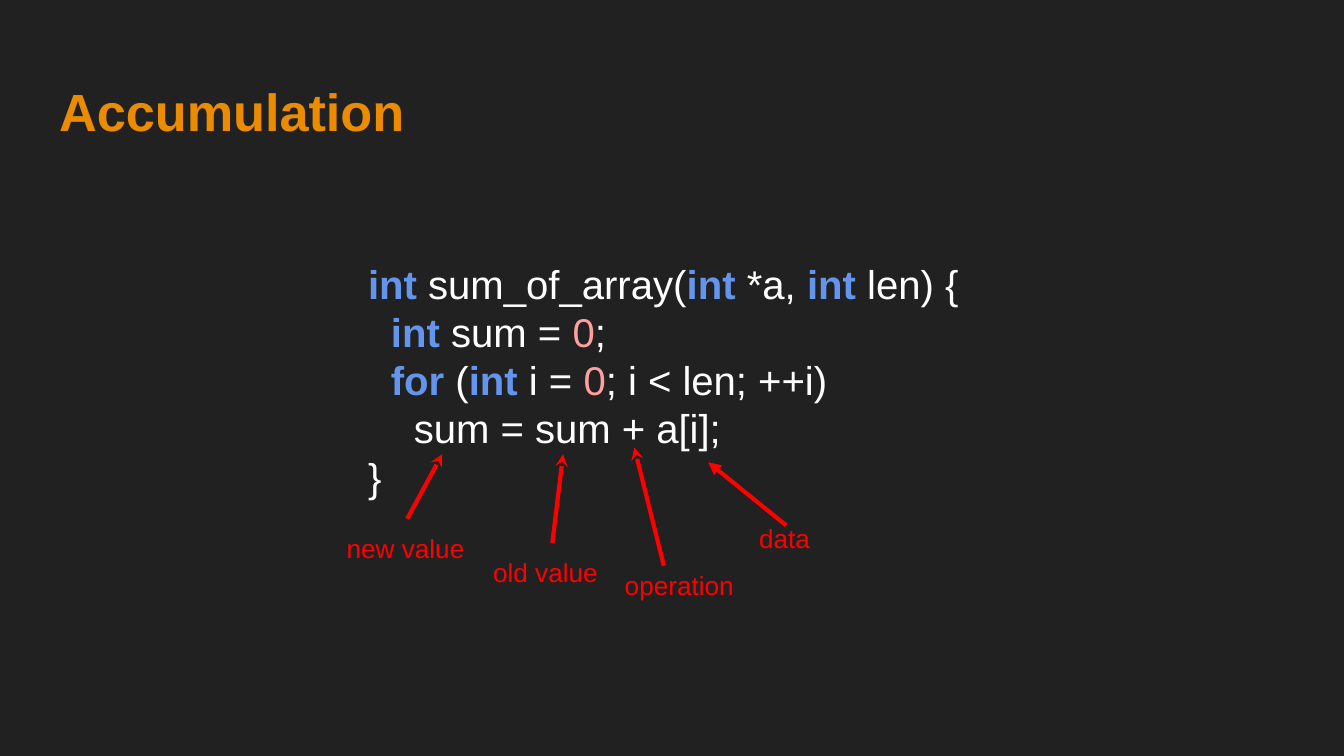
from dataclasses import dataclass

from lxml.etree import SubElement
from pptx import Presentation
from pptx.dml.color import RGBColor as Color
from pptx.enum.shapes import MSO_CONNECTOR as Connector
from pptx.enum.text import MSO_ANCHOR as Anchor, MSO_AUTO_SIZE as AutoSize, PP_ALIGN as Align
from pptx.oxml.ns import qn
from pptx.util import Inches, Pt


@dataclass(frozen=True)
class Theme:
    font: str = "Arial"
    background: str = "212121"
    title: str = "EB8C00"
    code: str = "FFFFFF"
    keyword: str = "6495ED"
    number: str = "FFA0A0"
    note: str = "FF0000"
    title_size: float = 28
    code_size: float = 21.5
    note_size: float = 14
    arrow_width: float = 2.25


THEME = Theme()
KEYWORDS = {"int", "for"}
INDENT = 0.17  # one code level, inches

# Indent level and tokens of each code line
CODE = [
    (0, ["int", " sum_of_array(", "int", " *a, ", "int", " len) {"]),
    (1, ["int", " sum = ", "0", ";"]),
    (1, ["for", " (", "int", " i = ", "0", "; i < len; ++i)"]),
    (2, ["sum = sum + a[i];"]),
    (0, ["}"]),
]

# Label, its box, arrow start and tip relative to the box, arrowhead
NOTES = [
    ("new value", (2.48, 3.86, 1.08, 0.54), (0.55, 0), (0.81, -0.48), "stealth"),
    ("old value", (3.57, 4.04, 1.08, 0.44), (0.54, 0), (0.62, -0.66), "stealth"),
    ("operation", (4.55, 4.14, 1.08, 0.44), (0.39, 0.07), (0.17, -0.81), "stealth"),
    ("data", (5.55, 3.79, 0.78, 0.44), (0.3, 0.12), (-0.28, -0.35), "triangle"),
]


def style(span, size, color, bold=False):
    span.font.name = THEME.font
    span.font.size = Pt(size)
    span.font.bold = bold
    span.font.color.rgb = Color.from_string(color)


def prepare_frame(shape):
    frame = shape.text_frame
    frame.word_wrap = True
    frame.auto_size = AutoSize.NONE
    frame.vertical_anchor = Anchor.TOP
    frame.margin_left = frame.margin_right = Inches(0.1)
    frame.margin_top = frame.margin_bottom = Inches(0.1)
    return frame


def add_title(page, box, text):
    title = page.shapes.title
    title.left, title.top, title.width, title.height = map(Inches, box)
    frame = prepare_frame(title)
    frame.text = text
    para = frame.paragraphs[0]
    para.alignment = Align.LEFT
    style(para.runs[0], THEME.title_size, THEME.title, bold=True)


def add_code(page, box, lines):
    frame = prepare_frame(page.shapes.add_textbox(*map(Inches, box)))
    for index, (level, tokens) in enumerate(lines):
        para = frame.add_paragraph() if index else frame.paragraphs[0]
        para._p.get_or_add_pPr().set("marL", str(Inches(INDENT * level)))
        for token in tokens:
            span = para.add_run()
            span.text = token
            is_keyword = token in KEYWORDS
            color = (THEME.keyword if is_keyword
                     else THEME.number if token.isdigit() else THEME.code)
            style(span, THEME.code_size, color, is_keyword)


def add_note(page, box, text, start, tip, head):
    # Label
    frame = prepare_frame(page.shapes.add_textbox(*map(Inches, box)))
    frame.text = text
    style(frame.paragraphs[0].runs[0], THEME.note_size, THEME.note)

    # Arrow from the label up to the code
    left, top = box[:2]
    ends = [left + start[0], top + start[1], left + tip[0], top + tip[1]]
    arrow = page.shapes.add_connector(Connector.STRAIGHT, *map(Inches, ends))
    arrow.line.color.rgb = Color.from_string(THEME.note)
    arrow.line.width = Pt(THEME.arrow_width)
    SubElement(arrow.line._get_or_add_ln(), qn("a:tailEnd"), type=head)
    SubElement(arrow._element.spPr, qn("a:effectLst"))


def main():
    deck = Presentation()
    deck.slide_width = Inches(10)
    deck.slide_height = deck.slide_width * 9 // 16
    page = deck.slides.add_slide(deck.slide_layouts[5])  # title only
    page.background.fill.solid()
    page.background.fill.fore_color.rgb = Color.from_string(THEME.background)

    add_title(page, (0.34, 0.49, 9.32, 0.63), "Accumulation")
    add_code(page, (2.64, 1.83, 4.71, 1.96), CODE)
    for text, box, start, tip, head in NOTES:
        add_note(page, box, text, start, tip, head)

    deck.save("out.pptx")


if __name__ == "__main__":
    main()
